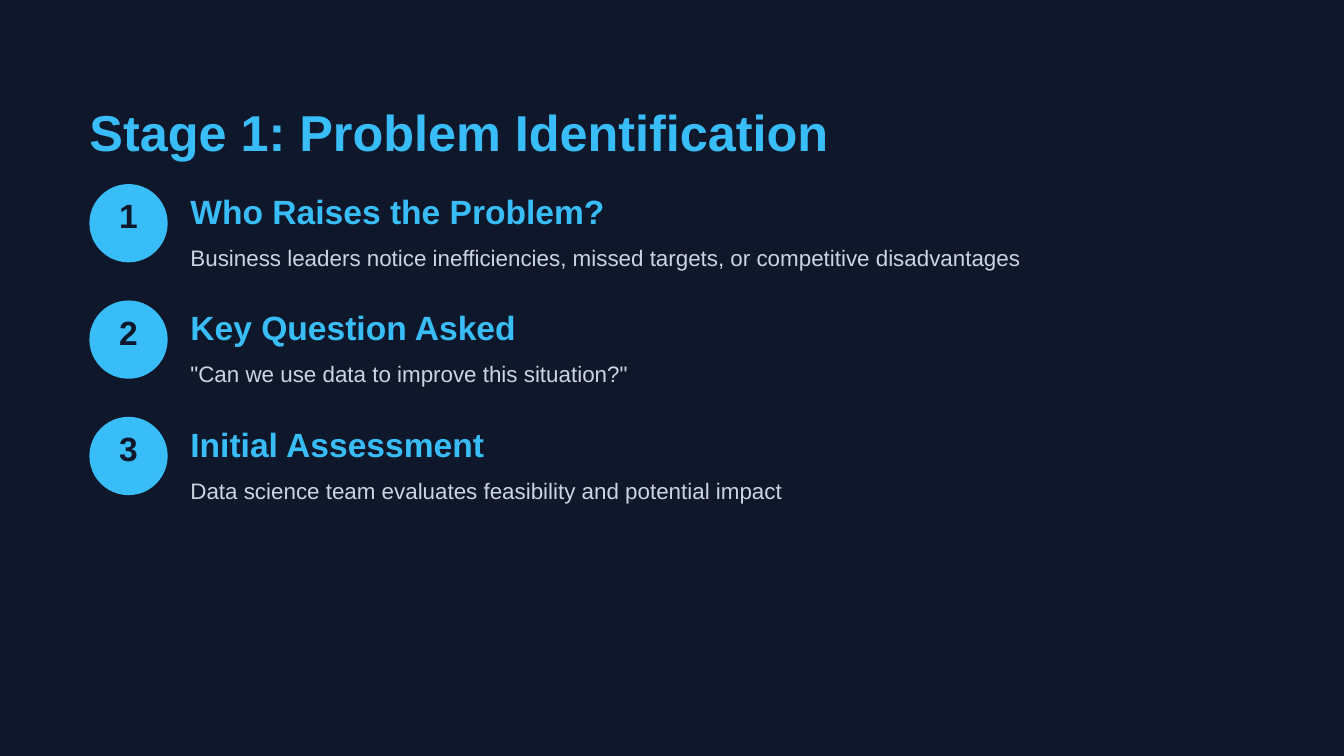
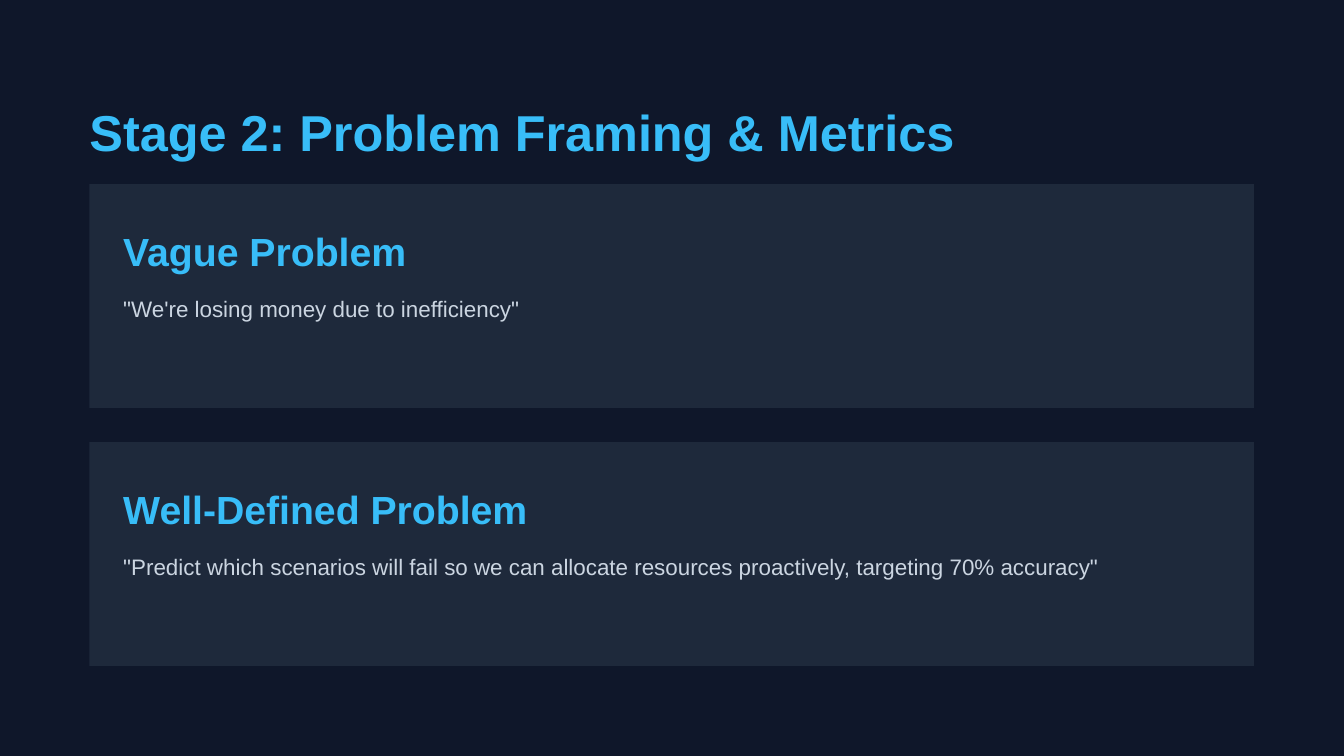
import dataclasses

import pptx
import pptx.dml.color
import pptx.enum.shapes
import pptx.enum.text
import pptx.util

Cm = pptx.util.Cm
Pt = pptx.util.Pt
Align = pptx.enum.text.PP_ALIGN
Shape = pptx.enum.shapes.MSO_SHAPE


@dataclasses.dataclass(frozen=True)
class TextStyle:
    size: int
    color: str
    bold: bool = True
    line_spacing: float = 1.0
    align: Align = Align.LEFT
    grows: bool = True


@dataclasses.dataclass(frozen=True)
class Theme:
    font: str = "Arial"
    background: str = "0F172A"
    accent: str = "38BDF8"
    card: str = "1E293B"
    title: TextStyle = TextStyle(27, "38BDF8", line_spacing=1.19)
    step_heading: TextStyle = TextStyle(18, "38BDF8", line_spacing=1.17)
    card_heading: TextStyle = TextStyle(21, "38BDF8", line_spacing=1.19)
    body: TextStyle = TextStyle(12, "CBD5E1", bold=False, line_spacing=1.33)
    number: TextStyle = TextStyle(18, "0F172A", align=Align.CENTER, grows=False)


@dataclasses.dataclass(frozen=True)
class Box:
    left: float
    top: float
    width: float
    height: float

    def inner(self, left, top, width, height):
        return Box(self.left + left, self.top + top, width, height)

    def lengths(self):
        return Cm(self.left), Cm(self.top), Cm(self.width), Cm(self.height)


THEME = Theme()
TITLE_BOX = Box(1.69, 1.69, 22.45, 1.12)
CONTENT_BOX = Box(1.69, 3.48, 22.01, 9.11)

STEPS = [
    ("Who Raises the Problem?",
     "Business leaders notice inefficiencies, missed targets, or competitive disadvantages"),
    ("Key Question Asked", '"Can we use data to improve this situation?"'),
    ("Initial Assessment", "Data science team evaluates feasibility and potential impact"),
]
PROBLEMS = [
    ("Vague Problem", '"We\'re losing money due to inefficiency"'),
    ("Well-Defined Problem",
     '"Predict which scenarios will fail so we can allocate resources proactively, '
     'targeting 70% accuracy"'),
]


def rgb(color):
    return pptx.dml.color.RGBColor.from_string(color)


def write_text(shape, text, style):
    frame = shape.text_frame
    frame.margin_left = frame.margin_top = frame.margin_right = frame.margin_bottom = 0
    frame.vertical_anchor = pptx.enum.text.MSO_ANCHOR.TOP
    frame.word_wrap = True
    sizing = pptx.enum.text.MSO_AUTO_SIZE
    frame.auto_size = sizing.SHAPE_TO_FIT_TEXT if style.grows else sizing.NONE
    para = frame.paragraphs[0]
    para.alignment = style.align
    para.line_spacing = style.line_spacing
    para.space_before = Pt(0)
    span = para.add_run()
    span.text = text
    span.font.name = THEME.font
    span.font.size = Pt(style.size)
    span.font.bold = style.bold
    span.font.color.rgb = rgb(style.color)


def add_text(shapes, box, text, style):
    write_text(shapes.add_textbox(*box.lengths()), text, style)


def add_panel(shapes, kind, box, color):
    panel = shapes.add_shape(kind, *box.lengths())
    panel.shadow.inherit = False
    panel.fill.solid()
    panel.fill.fore_color.rgb = rgb(color)
    panel.line.fill.background()
    return panel


def add_page(deck, title):
    page = deck.slides.add_slide(deck.slide_layouts.get_by_name("Title Only"))
    heading = page.shapes.title
    heading.left, heading.top, heading.width, heading.height = TITLE_BOX.lengths()
    write_text(heading, title, THEME.title)
    return page


def add_step(page, box, number, heading, detail):
    badge = page.shapes.add_group_shape()
    circle_box = box.inner(0, 0, 1.48, 1.48)
    circle = add_panel(badge.shapes, Shape.ROUNDED_RECTANGLE, circle_box, THEME.accent)
    circle.adjustments[0] = 0.5
    add_text(badge.shapes, circle_box.inner(0.21, 0.21, 1.06, 1.06), str(number), THEME.number)
    add_text(page.shapes, box.inner(1.91, 0, 20.52, 0.74), heading, THEME.step_heading)
    add_text(page.shapes, box.inner(1.91, 0.97, 20.52, 0.53), detail, THEME.body)


def add_card(page, box, heading, detail):
    add_panel(page.shapes, Shape.RECTANGLE, box, THEME.card)
    add_text(page.shapes, box.inner(0.64, 0.64, 21.16, 0.86), heading, THEME.card_heading)
    add_text(page.shapes, box.inner(0.64, 1.93, 21.16, 0.53), detail, THEME.body)


def build_steps_page(deck, title, steps, box):
    page = add_page(deck, title)
    pitch = 2.2
    for index, (heading, detail) in enumerate(steps):
        step_box = box.inner(0, index * pitch, box.width, 1.5)
        add_step(page, step_box, index + 1, heading, detail)


def build_cards_page(deck, title, cards, box):
    page = add_page(deck, title)
    gap = 0.65
    height = (box.height - gap * (len(cards) - 1)) / len(cards)
    for index, (heading, detail) in enumerate(cards):
        card_box = box.inner(0, index * (height + gap), box.width, height)
        add_card(page, card_box, heading, detail)


def main():
    deck = pptx.Presentation()
    deck.slide_width, deck.slide_height = Cm(25.4), Cm(14.29)
    backdrop = deck.slide_master.background.fill
    backdrop.solid()
    backdrop.fore_color.rgb = rgb(THEME.background)
    build_steps_page(deck, "Stage 1: Problem Identification", STEPS, CONTENT_BOX)
    build_cards_page(deck, "Stage 2: Problem Framing & Metrics", PROBLEMS, CONTENT_BOX)
    deck.save("out.pptx")


if __name__ == "__main__":
    main()
